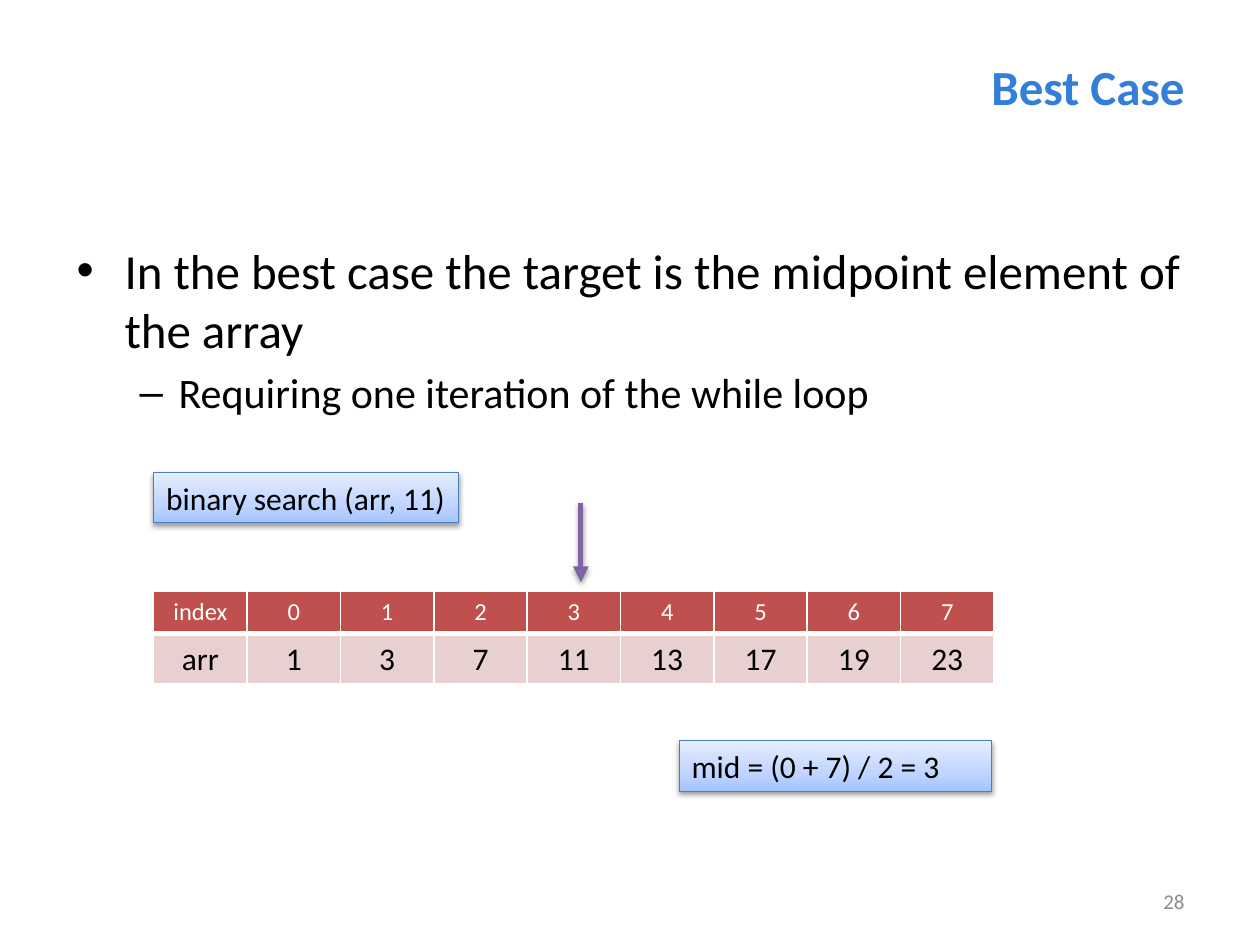
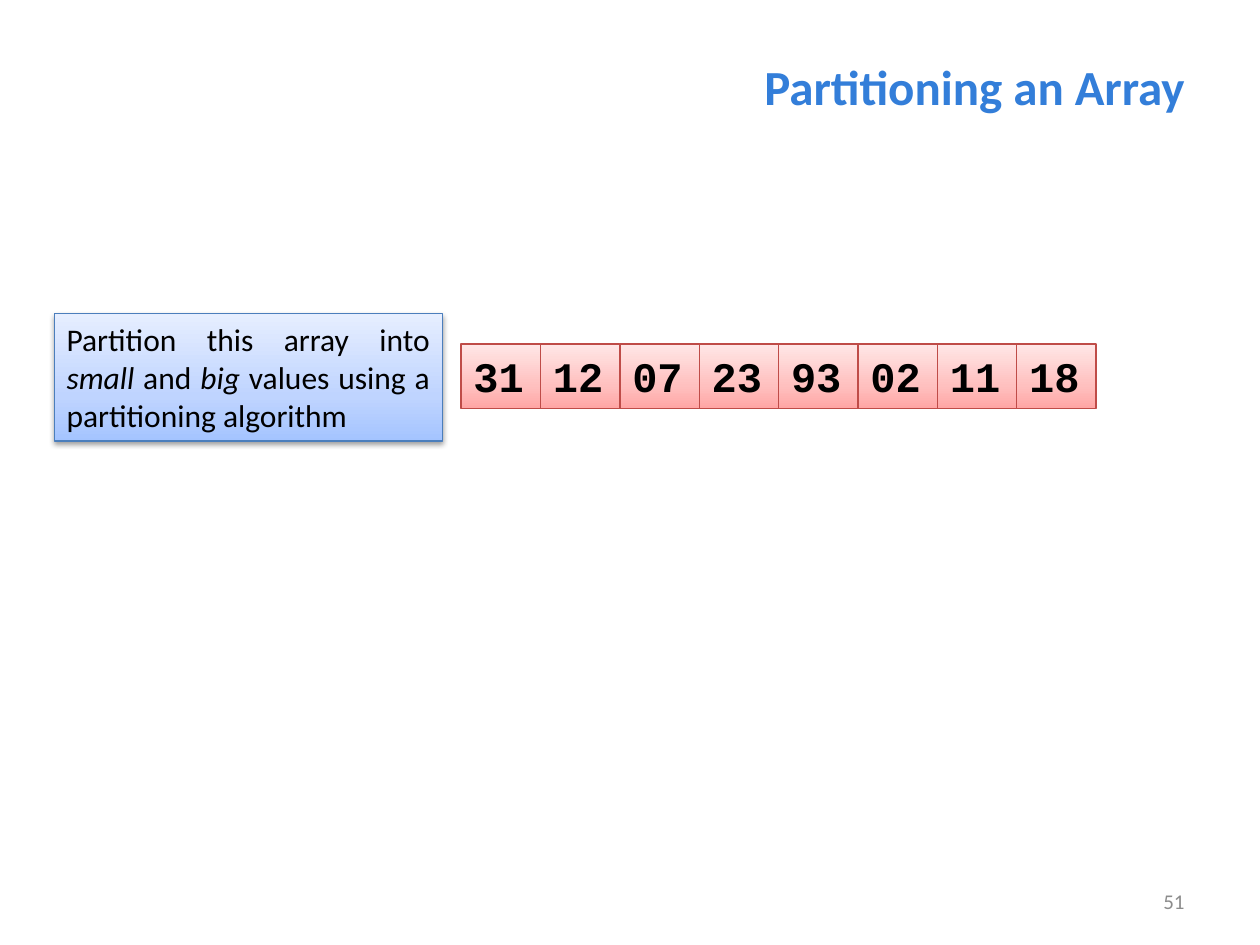
"""Build two slides on binary search and array partitioning."""
from lxml.etree import SubElement
from pptx import Presentation
from pptx.dml.color import RGBColor
from pptx.enum.shapes import MSO_CONNECTOR
from pptx.enum.text import MSO_ANCHOR, MSO_AUTO_SIZE, PP_ALIGN
from pptx.oxml import parse_xml
from pptx.oxml.ns import nsdecls, qn
from pptx.util import Inches, Pt

BLACK, WHITE = "000000", "FFFFFF"
TITLE_BLUE, NUMBER_GREY = "337ED9", "8C8C8C"
HEADER_RED, ROW_PINK, ARROW_PURPLE = "C0504D", "E8D0D0", "8064A2"
BLUE_BOX = ("A4C4FF", "BFD4FF", "E6EEFF", "4B7EBC")
RED_BOX = ("FFA6A5", "FFC0BF", "FFE7E7", "BF4C48")
SHADOW = (
    f'<a:effectLst {nsdecls("a")}><a:outerShdw blurRad="39400" dist="20300" dir="5400000" '
    'rotWithShape="0"><a:srgbClr val="000000"><a:alpha val="38000"/></a:srgbClr>'
    '</a:outerShdw></a:effectLst>'
)


def add_span(para, text, size, color=BLACK, bold=False, italic=False, font="Calibri"):
    span = para.add_run()
    span.text = text
    span.font.name, span.font.size = font, Pt(size)
    span.font.bold, span.font.italic = bold, italic
    span.font.color.rgb = RGBColor.from_string(color)


def add_box(page, bounds, align=PP_ALIGN.LEFT, anchor=MSO_ANCHOR.TOP, colors=None,
            shadow=False, wrap=True):
    box = page.shapes.add_textbox(*map(Inches, bounds))
    frame = box.text_frame
    frame.word_wrap, frame.vertical_anchor = wrap, anchor
    frame.paragraphs[0].alignment = align
    if colors:
        frame.auto_size = MSO_AUTO_SIZE.SHAPE_TO_FIT_TEXT
        box.fill.gradient()
        box.fill.gradient_angle = 90
        stops = box.fill._fill._gradFill.find(qn("a:gsLst"))
        stops.clear()
        for position, color in zip((0, 35, 100), colors):
            stop = SubElement(stops, qn("a:gs"), pos=str(position * 1000))
            SubElement(stop, qn("a:srgbClr"), val=color)
        box.line.color.rgb = RGBColor.from_string(colors[3])
        box.line.width = Pt(0.75)
    if shadow:
        box._element.spPr.append(parse_xml(SHADOW))
    return frame


deck = Presentation()
deck.slide_width, deck.slide_height = Inches(10), Inches(7.5)
pages = []
for title, number in (("Best Case", "28"), ("Partitioning an Array", "51")):
    page = deck.slides.add_slide(deck.slide_layouts[6])
    pages.append(page)
    for bounds, text, size, color, bold in (
        ((1.61, 0.38, 7.89, 0.61), title, 28, TITLE_BLUE, True),
        ((7.17, 6.95, 2.33, 0.4), number, 12, NUMBER_GREY, False),
    ):
        frame = add_box(page, bounds, PP_ALIGN.RIGHT, MSO_ANCHOR.MIDDLE)
        add_span(frame.paragraphs[0], text, size, color, bold)
best_case, partitioning = pages

body = add_box(best_case, (0.51, 1.86, 8.99, 4.84))
body.add_paragraph()
points = (
    ("In the best case the target is the midpoint element of the array", 28, 0, 0.38, 0.38, "•"),
    ("Requiring one iteration of the while loop", 24, 1, 0.81, 0.31, "–"),
)
for para, (text, size, level, margin, hanging, bullet) in zip(body.paragraphs, points):
    para.level = level
    props = para._p.get_or_add_pPr()
    props.set("marL", str(Inches(margin)))
    props.set("indent", str(-Inches(hanging)))
    SubElement(SubElement(props, qn("a:spcBef")), qn("a:spcPct"), val="20000")
    SubElement(props, qn("a:buFont"), typeface="Arial")
    SubElement(props, qn("a:buChar"), char=bullet)
    add_span(para, text, size)

array_rows = (
    (("index", *range(8)), 0.34, 14, WHITE, HEADER_RED, 3),
    (("arr", 1, 3, 7, 11, 13, 17, 19, 23), 0.4, 18, BLACK, ROW_PINK, 1),
)
table = best_case.shapes.add_table(
    2, 9, Inches(1.22), Inches(4.69), Inches(6.67), Inches(0.74)).table
for column in table.columns:
    column.width = Inches(6.67 / 9)
for row, (values, height, size, color, fill, bottom) in zip(table.rows, array_rows):
    row.height = Inches(height)
    for cell, value in zip(row.cells, values):
        para = cell.text_frame.paragraphs[0]
        para.alignment = PP_ALIGN.CENTER
        add_span(para, str(value), size, color)
        props = cell._tc.get_or_add_tcPr()
        for side, width in (("L", 1), ("R", 1), ("T", 1), ("B", bottom)):
            border = SubElement(props, qn(f"a:ln{side}"), w=str(Pt(width)))
            border_fill = SubElement(border, qn("a:solidFill"))
            SubElement(border_fill, qn("a:srgbClr"), val=WHITE)
        cell.fill.solid()
        cell.fill.fore_color.rgb = RGBColor.from_string(fill)

for bounds, text in (
    ((5.39, 5.88, 2.48, 0.4), "mid = (0 + 7) / 2 = 3"),
    ((1.22, 3.75, 2.42, 0.4), "binary search (arr, 11)"),
):
    frame = add_box(best_case, bounds, colors=BLUE_BOX, shadow=True, wrap=False)
    add_span(frame.paragraphs[0], text, 18)

arrow = best_case.shapes.add_connector(
    MSO_CONNECTOR.STRAIGHT, Inches(4.61), Inches(3.99), Inches(4.61), Inches(4.62))
arrow.line.color.rgb = RGBColor.from_string(ARROW_PURPLE)
arrow.line.width = Pt(3)
SubElement(arrow.line._get_or_add_ln(), qn("a:tailEnd"), type="triangle")
arrow._element.spPr.append(parse_xml(SHADOW))

task = add_box(partitioning, (0.43, 2.49, 3.08, 1.01), PP_ALIGN.JUSTIFY,
               colors=BLUE_BOX, shadow=True)
for text, italic in (
    ("Partition this array into ", False), ("small", True), (" and ", False),
    ("big", True), (" values using a partitioning algorithm", False),
):
    add_span(task.paragraphs[0], text, 18, italic=italic)

for index, value in enumerate(("31", "12", "07", "23", "93", "02", "11", "18")):
    frame = add_box(partitioning, (3.66 + 0.63 * index, 2.73, 0.63, 0.51),
                    anchor=MSO_ANCHOR.MIDDLE, colors=RED_BOX)
    para = frame.paragraphs[0]
    spacing = SubElement(para._p.get_or_add_pPr(), qn("a:spcBef"))
    SubElement(spacing, qn("a:spcPct"), val="50000")
    add_span(para, value, 24, bold=True, font="Courier New")

deck.save("out.pptx")
